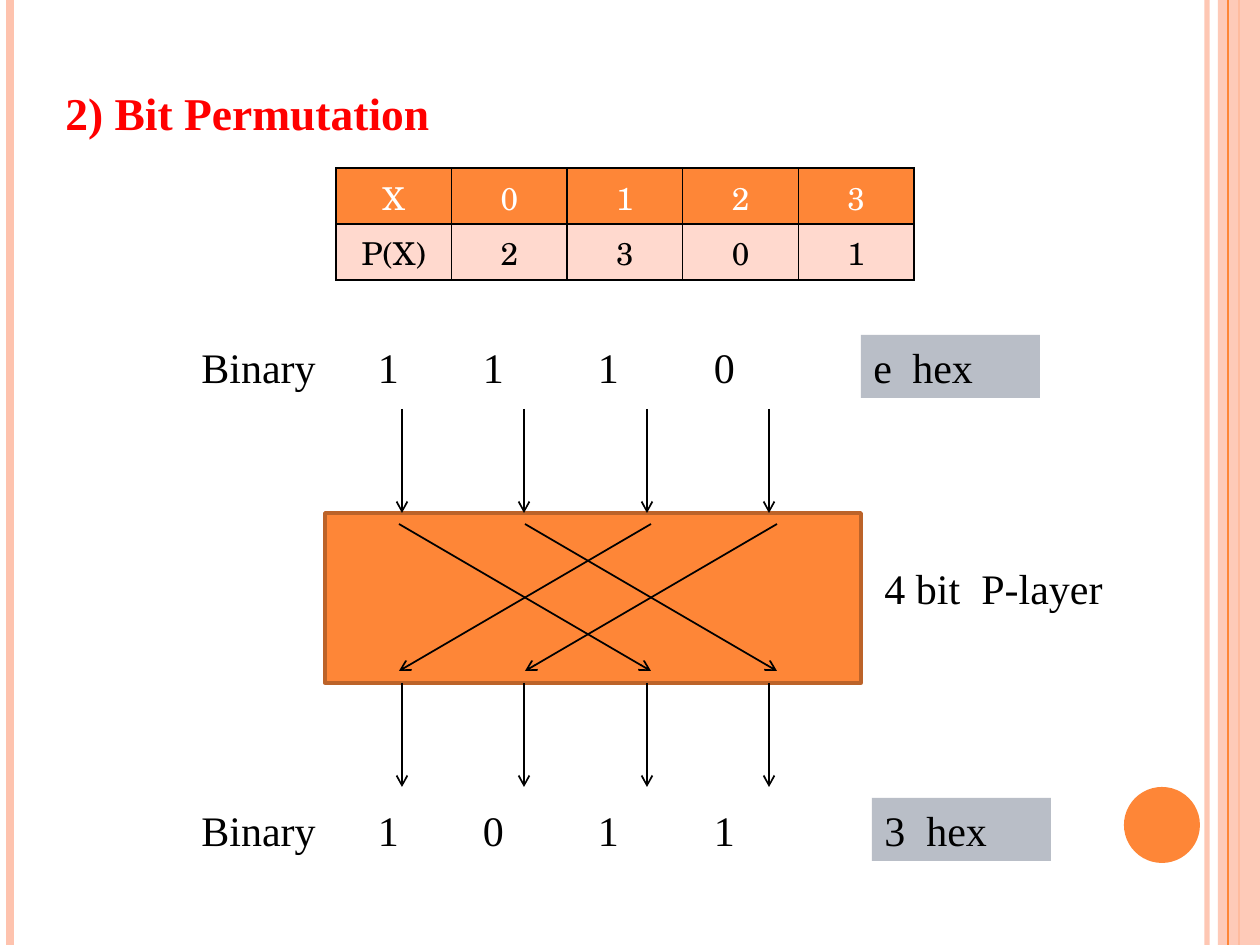
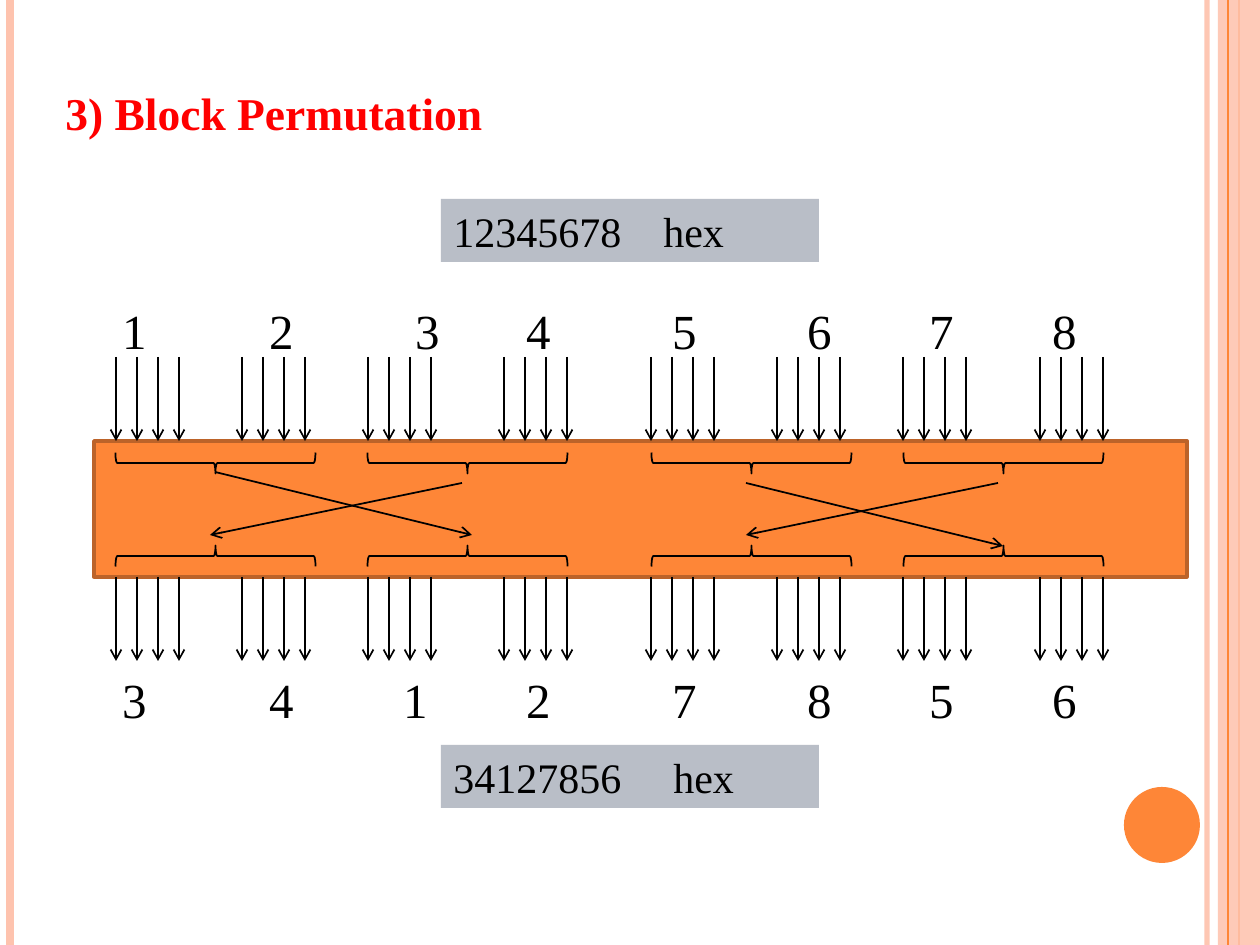
from lxml import etree
from pptx import Presentation
from pptx import util as u
from pptx.dml import color
from pptx.enum import shapes, text
from pptx.oxml import ns

PX_PER_INCH = 126
WIDTH, HEIGHT = 1260, 945
ORANGE, RUST, PEACH, PINK = "FE8637", "BC6329", "FEC3AE", "FFD9CE"
GREY, BLACK, WHITE, RED = "B9BEC7", "000000", "FFFFFF", "FF0000"


def px(length):
    return u.Emu(round(length * 914400 / PX_PER_INCH))


def rgb(value):
    return color.RGBColor.from_string(value)


def paint(fill, value, opacity=100):
    fill.solid()
    fill.fore_color.rgb = rgb(value)
    if opacity < 100:
        tint = fill._xPr.find(".//" + ns.qn("a:srgbClr"))
        etree.SubElement(tint, ns.qn("a:alpha")).set("val", str(opacity * 1000))


class SlideBuilder:
    body_font = "Times New Roman"
    table_font = "TeX Gyre Schola"

    def __init__(self, deck):
        self.deck = deck
        self.slide = None

    def start(self, title):
        self.slide = self.deck.slides.add_slide(self.deck.slide_layouts[6])
        paint(self.slide.background.fill, WHITE)
        self.line(1207, 0, 1207, HEIGHT, PEACH, 3, opacity=93)
        self.line(10, 0, 10, HEIGHT, PEACH, 4.5)
        self.line(1239, 0, 1239, HEIGHT, ORANGE, 1.5)
        self.shape(1218, 0, 42, HEIGHT, PEACH, opacity=87)
        self.line(1228, 0, 1228, HEIGHT, ORANGE, 0.75)
        self.shape(1124, 787, 76, 76, ORANGE, kind=shapes.MSO_SHAPE.OVAL)
        self.label(53, 79, 588, 68, title, 26, tint=RED, bold=True)

    def line(self, x1, y1, x2, y2, tint=BLACK, weight=1, opacity=100, arrow=False):
        line = self.slide.shapes.add_connector(
            shapes.MSO_CONNECTOR.STRAIGHT, px(x1), px(y1), px(x2), px(y2))
        line.line.width = u.Pt(weight)
        paint(line.line.fill, tint, opacity)
        properties = line._element.spPr
        if arrow:
            etree.SubElement(properties.find(ns.qn("a:ln")), ns.qn("a:tailEnd")).set("type", "arrow")
        etree.SubElement(properties, ns.qn("a:effectLst"))

    def arrow(self, x1, y1, x2, y2):
        self.line(x1, y1, x2, y2, arrow=True)

    def shape(self, x, y, width, height, fill=None, outline=None, weight=1,
              kind=shapes.MSO_SHAPE.RECTANGLE, opacity=100):
        shape = self.slide.shapes.add_shape(kind, px(x), px(y), px(width), px(height))
        shape.shadow.inherit = False
        if fill:
            paint(shape.fill, fill, opacity)
        else:
            shape.fill.background()
        if outline:
            paint(shape.line.fill, outline)
            shape.line.width = u.Pt(weight)
        else:
            shape.line.fill.background()
        return shape

    def brace(self, center_x, center_y, rotation):
        brace = self.shape(center_x - 10, center_y - 100, 21, 200, outline=BLACK,
                           kind=shapes.MSO_SHAPE.LEFT_BRACE)
        brace.rotation = rotation

    def label(self, x, y, width, height, words, size, tabs=(), align="l",
              tint=BLACK, bold=False, wrap=True, fill=None):
        box = self.slide.shapes.add_textbox(px(x), px(y), px(width), px(height))
        if fill:
            paint(box.fill, fill)
        frame = box.text_frame
        frame.text = words
        frame.word_wrap = wrap
        frame.auto_size = text.MSO_AUTO_SIZE.SHAPE_TO_FIT_TEXT
        self.format(frame.paragraphs[0], self.body_font, size, tint, bold)
        if tabs:
            self.tab_stops(frame.paragraphs[0], tabs, align)

    def tab_stops(self, para, tabs, align):
        stops = etree.SubElement(para._p.get_or_add_pPr(), ns.qn("a:tabLst"))
        for position in tabs:
            stop = etree.SubElement(stops, ns.qn("a:tab"))
            stop.set("pos", str(px(position)))
            stop.set("algn", align)

    def format(self, para, font, size, tint, bold=False):
        for span in para.runs:
            span.font.name = font
            span.font.size = u.Pt(size)
            span.font.bold = bold
            span.font.color.rgb = rgb(tint)

    def hex_value(self, x, y, width, digits, tab):
        self.label(x, y, width, 63, f"{digits}\thex", 24, [tab], fill=GREY)

    def table(self, x, y, width, row_height, rows, row_styles):
        columns = len(rows[0])
        table = self.slide.shapes.add_table(
            len(rows), columns, px(x), px(y), px(width), px(row_height * len(rows))).table
        for column in table.columns:
            column.width = px(width / columns)
        for row, (values, (fill, tint)) in enumerate(zip(rows, row_styles)):
            for column, value in enumerate(values):
                cell = table.cell(row, column)
                cell.text = value
                para = cell.text_frame.paragraphs[0]
                para.alignment = text.PP_ALIGN.CENTER
                self.format(para, self.table_font, 18, tint)
                paint(cell.fill, fill)
                self.borders(cell)

    def borders(self, cell):
        properties = cell._tc.get_or_add_tcPr()
        for index, side in enumerate(("lnL", "lnR", "lnT", "lnB")):
            border = etree.Element(ns.qn("a:" + side), w=str(u.Pt(1)))
            solid = etree.SubElement(border, ns.qn("a:solidFill"))
            etree.SubElement(solid, ns.qn("a:srgbClr")).set("val", BLACK)
            properties.insert(index, border)


def bit_permutation(page):
    page.start("2) Bit Permutation")
    permutation = [2, 3, 0, 1]
    page.table(336, 168, 578, 56,
               [["X", "0", "1", "2", "3"], ["P(X)", *map(str, permutation)]],
               [(ORANGE, WHITE), (PINK, BLACK)])
    page.shape(325, 513, 536, 170, ORANGE, RUST, 2)
    for x in (402, 524, 647, 769):
        for y in (409, 683):
            page.arrow(x, y, x, y + 104)
    page.hex_value(861, 335, 179, "e", 39)
    page.hex_value(872, 798, 179, "3", 42)
    for y, bits in ((335, "1110"), (798, "1011")):
        page.label(168, y, 672, 63, "\tBinary", 24, [21])
        page.label(336, y, 504, 63, "\t" + "\t".join(bits), 24, [40, 145, 260, 376], "ctr")
    page.label(872, 556, 246, 63, "4 bit\tP-layer", 24, [97], wrap=False)
    for source, target in enumerate(permutation):
        page.arrow(399 + 126 * source, 524, 399 + 126 * target, 671)


def block_permutation(page):
    page.start("3) Block Permutation")
    page.shape(94, 441, 1093, 136, ORANGE, RUST, 2)
    for y in (357, 577):
        for block_x in (116, 242, 368, 504, 651, 777, 903, 1040):
            for bit in range(4):
                x = block_x + 21 * bit
                page.arrow(x, y, x, y + 84)
    page.hex_value(441, 199, 378, "12345678", 210)
    page.hex_value(441, 745, 378, "34127856", 220)
    for center_x in (215, 467, 751, 1003):
        page.brace(center_x, 463, 270)
        page.brace(center_x, 556, 90)
    for ends in ((462, 483, 210, 535), (998, 483, 746, 535),
                 (215, 472, 472, 535), (746, 483, 1003, 546)):
        page.arrow(*ends)
    for y, digits, third_tab in ((294, "12345678", 342), (663, "34127856", 330)):
        tabs = [49, 196, third_tab, 453, 599, 734, 856, 979]
        page.label(73, y, 1113, 72, "\t" + "\t".join(digits), 28, tabs, "ctr")


def main():
    deck = Presentation()
    deck.slide_width, deck.slide_height = px(WIDTH), px(HEIGHT)
    page = SlideBuilder(deck)
    bit_permutation(page)
    block_permutation(page)
    deck.save("out.pptx")


if __name__ == "__main__":
    main()
